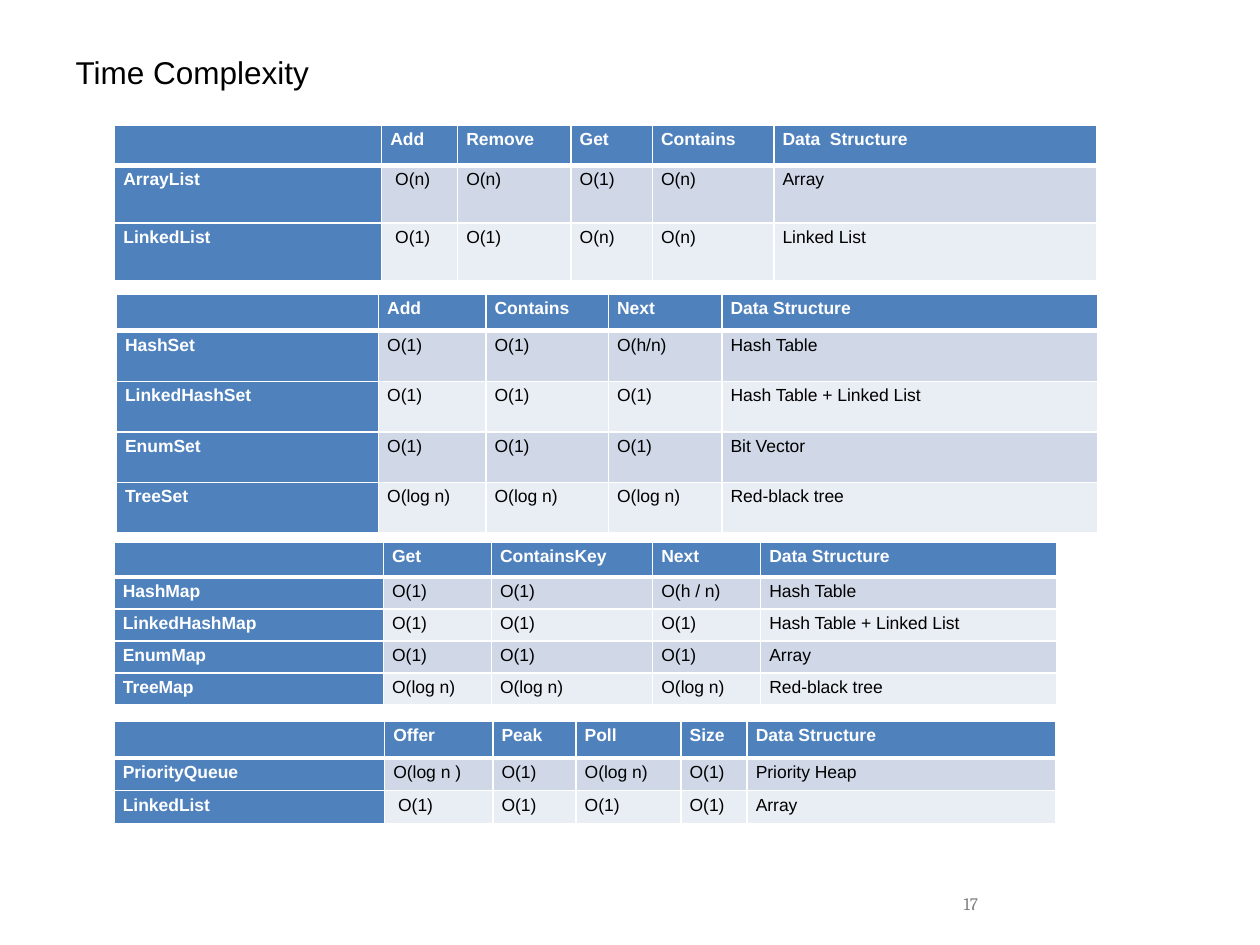
from lxml import etree
from pptx import Presentation
from pptx.dml.color import RGBColor
from pptx.enum import text
from pptx.oxml import ns
from pptx.util import Pt

BLUE = RGBColor(0x4F, 0x81, 0xBD)
BANDS = RGBColor(0xD0, 0xD8, 0xE8), RGBColor(0xE9, 0xED, 0xF4)
WHITE = RGBColor(0xFF, 0xFF, 0xFF)
BLACK = RGBColor(0, 0, 0)
GRAY = RGBColor(0x80, 0x80, 0x80)

LISTS = [
    ["", "Add", "Remove", "Get", "Contains", "Data  Structure"],
    ["ArrayList", " O(n)", "O(n)", "O(1)", "O(n)", "Array"],
    ["LinkedList", " O(1)", "O(1)", "O(n)", "O(n)", "Linked List"],
]
SETS = [
    ["", "Add", "Contains", "Next", "Data Structure"],
    ["HashSet", "O(1)", "O(1)", "O(h/n)", "Hash Table"],
    ["LinkedHashSet", "O(1)", "O(1)", "O(1)", "Hash Table + Linked List"],
    ["EnumSet", "O(1)", "O(1)", "O(1)", "Bit Vector"],
    ["TreeSet", "O(log n)", "O(log n)", "O(log n)", "Red-black tree"],
]
MAPS = [
    ["", "Get", "ContainsKey", "Next", "Data Structure"],
    ["HashMap", "O(1)", "O(1)", "O(h / n)", "Hash Table"],
    ["LinkedHashMap", "O(1)", "O(1)", "O(1)", "Hash Table + Linked List"],
    ["EnumMap", "O(1)", "O(1)", "O(1)", "Array"],
    ["TreeMap", "O(log n)", "O(log n)", "O(log n)", "Red-black tree"],
]
QUEUES = [
    ["", "Offer", "Peak", "Poll", "Size", "Data Structure"],
    ["PriorityQueue", "O(log n )", "O(1)", "O(log n)", "O(1)", "Priority Heap"],
    ["LinkedList", " O(1)", "O(1)", "O(1)", "O(1)", "Array"],
]


class Page:
    face = "Arial"
    size = 10

    def __init__(self, deck):
        self.slide = deck.slides.add_slide(deck.slide_layouts[5])

    def style(self, para, color, size=size, face=face, bold=False):
        font = para.font
        font.name, font.size, font.bold = face, Pt(size), bold
        font.color.rgb = color

    def fit(self, frame, words):
        frame.text = words
        frame.word_wrap = True
        frame.auto_size = text.MSO_AUTO_SIZE.NONE
        frame.vertical_anchor = text.MSO_ANCHOR.MIDDLE
        para = frame.paragraphs[0]
        para.alignment = text.PP_ALIGN.LEFT
        return para

    def title(self, words, left, top, width, height):
        box = self.slide.shapes.title
        box.left, box.top, box.width, box.height = map(Pt, (left, top, width, height))
        self.style(self.fit(box.text_frame, words), BLACK, 18)

    def number(self, words, *place):
        box = self.slide.shapes.add_textbox(*map(Pt, place))
        self.style(self.fit(box.text_frame, words), GRAY, face="Cambria")

    def edge(self, cell, row):
        props = cell._tc.get_or_add_tcPr()
        widths = {"L": 1, "R": 1, "T": 3 if row == 1 else 1, "B": 1 if row else 3}
        for spot, (side, width) in enumerate(widths.items()):
            line = etree.Element(ns.qn("a:ln" + side), w=str(Pt(width)))
            fill = etree.SubElement(line, ns.qn("a:solidFill"))
            etree.SubElement(fill, ns.qn("a:srgbClr"), val=str(WHITE))
            props.insert(spot, line)

    def cell(self, cell, words, row, col, pitch):
        head = row == 0 or col == 0
        cell.fill.solid()
        cell.fill.fore_color.rgb = BLUE if head else BANDS[(row - 1) % 2]
        cell.margin_left = cell.margin_right = Pt(5)
        cell.margin_top = cell.margin_bottom = 0
        cell.text = words
        para = cell.text_frame.paragraphs[0]
        para.alignment = text.PP_ALIGN.JUSTIFY
        para.line_spacing = Pt(pitch)
        self.style(para, WHITE if head else BLACK, bold=head)
        self.edge(cell, row)

    def table(self, data, left, top, cols, first, rest, pitch):
        highs = [first] + [rest] * (len(data) - 1)
        place = map(Pt, (left, top, sum(cols), sum(highs)))
        grid = self.slide.shapes.add_table(len(data), len(cols), *place).table
        for col, width in zip(grid.columns, cols):
            col.width = Pt(width)
        for r, (line, high) in enumerate(zip(data, highs)):
            grid.rows[r].height = Pt(high)
            for c, words in enumerate(line):
                self.cell(grid.cell(r, c), words, r, c, pitch)


def main():
    deck = Presentation()
    deck.slide_width, deck.slide_height = Pt(720), Pt(540)
    page = Page(deck)
    page.title("Time Complexity", 36, 27.4, 584.6, 27.4)
    page.number("17", 543.6, 501.8, 167.8, 28.8)
    page.table(LISTS, 65.5, 71.5, [152.6, 43.4, 64.8, 46.5, 69.4, 184.6], 23, 33, 13.8)
    page.table(SETS, 66.5, 168, [149.8, 61.4, 70, 64.8, 214.6], 21, 28.9, 13.8)
    page.table(MAPS, 65.2, 309.8, [153.9, 61.7, 92.2, 61.7, 169.2], 20, 18.3, 13.9)
    page.table(QUEUES, 65.2, 412.2, [154.6, 61.9, 47.5, 60, 37.8, 176.6], 20.9, 18.7, 13.9)
    deck.save("out.pptx")


if __name__ == "__main__":
    main()
